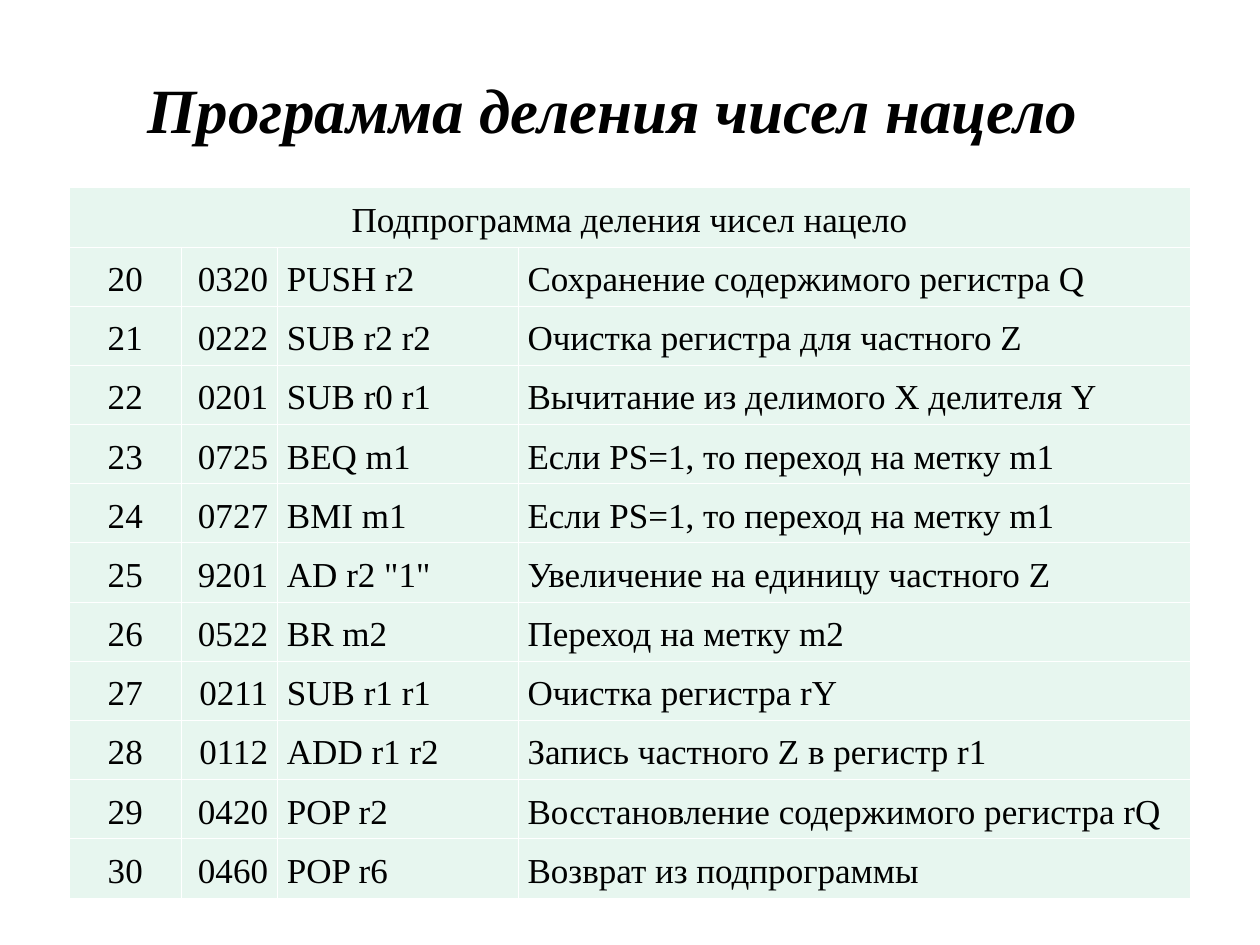
from lxml import etree
from pptx import Presentation
from pptx.dml.color import RGBColor
from pptx.enum import text
from pptx.oxml import ns
from pptx.util import Pt

BLACK = RGBColor(0x00, 0x00, 0x00)
WHITE = RGBColor(0xFF, 0xFF, 0xFF)
MINT = RGBColor(0xE7, 0xF6, 0xEF)
CENTER, RIGHT, JUSTIFY = text.PP_ALIGN.CENTER, text.PP_ALIGN.RIGHT, text.PP_ALIGN.JUSTIFY

HEADING = "Подпрограмма деления чисел нацело"
FIRST_ADDRESS = 20
COMMANDS = [
    ("0320", "PUSH r2", "Сохранение содержимого регистра Q"),
    ("0222", "SUB r2 r2", "Очистка регистра для частного Z"),
    ("0201", "SUB r0 r1", "Вычитание из делимого X делителя Y"),
    ("0725", "BEQ m1", "Если PS=1, то переход на метку m1"),
    ("0727", "BMI m1", "Если PS=1, то переход на метку m1"),
    ("9201", 'AD r2 "1"', "Увеличение на единицу частного Z"),
    ("0522", "BR m2", "Переход на метку m2"),
    ("0211", "SUB r1 r1", "Очистка регистра rY"),
    ("0112", "ADD r1 r2", "Запись частного Z в регистр r1"),
    ("0420", "POP r2", "Восстановление содержимого регистра rQ"),
    ("0460", "POP r6", "Возврат из подпрограммы"),
]
COLUMN_WIDTHS = [64, 55, 137.5, 384]
COLUMN_ALIGNMENTS = [CENTER, RIGHT, JUSTIFY, JUSTIFY]
ROW_HEIGHT = 30.36


def write_text(frame, words, size, alignment, line_spacing=None, bold=False, italic=False):
    paragraph = frame.paragraphs[0]
    paragraph.alignment = alignment
    paragraph.line_spacing = line_spacing
    run = paragraph.add_run()
    run.text = words
    font = run.font
    font.name, font.size, font.bold, font.italic = "Times New Roman", Pt(size), bold, italic
    font.color.rgb = BLACK


def style_cell(cell):
    """Add borders before the fill, as the schema orders them."""
    cell.margin_left = cell.margin_right = Pt(5.4)
    cell.margin_top, cell.margin_bottom = Pt(3.2), Pt(1.83)
    properties = cell._tc.get_or_add_tcPr()
    for side in ("lnL", "lnR", "lnT", "lnB"):
        line = etree.SubElement(properties, ns.qn(f"a:{side}"), w=str(Pt(0.45)))
        line_fill = etree.SubElement(line, ns.qn("a:solidFill"))
        etree.SubElement(line_fill, ns.qn("a:srgbClr"), val=str(WHITE))
    cell.fill.solid()
    cell.fill.fore_color.rgb = MINT


presentation = Presentation()
presentation.slide_width, presentation.slide_height = Pt(720), Pt(540)
slide = presentation.slides.add_slide(presentation.slide_layouts[6])

title = slide.shapes.add_textbox(Pt(8.4), Pt(35), Pt(683.28), Pt(54))
title.text_frame.word_wrap = True
title.text_frame.vertical_anchor = text.MSO_ANCHOR.MIDDLE
write_text(title.text_frame, "Программа деления чисел нацело", 36, CENTER, bold=True, italic=True)

row_count = len(COMMANDS) + 1
table = slide.shapes.add_table(
    row_count, len(COLUMN_WIDTHS), Pt(39.6), Pt(107.28),
    Pt(sum(COLUMN_WIDTHS)), Pt(ROW_HEIGHT * row_count),
).table
table.first_row = table.horz_banding = False
for column, width in zip(table.columns, COLUMN_WIDTHS):
    column.width = Pt(width)
for row in table.rows:
    row.height = Pt(ROW_HEIGHT)
for cell in table.iter_cells():
    style_cell(cell)

heading_cell = table.cell(0, 0)
heading_cell.merge(table.cell(0, len(COLUMN_WIDTHS) - 1))
write_text(heading_cell.text_frame, HEADING, 20, CENTER, line_spacing=1.2)

for row_index, command in enumerate(COMMANDS, start=1):
    address = str(FIRST_ADDRESS + row_index - 1)
    for column_index, words in enumerate((address, *command)):
        write_text(table.cell(row_index, column_index).text_frame, words, 20,
                   COLUMN_ALIGNMENTS[column_index], line_spacing=1.2)

presentation.save("out.pptx")
